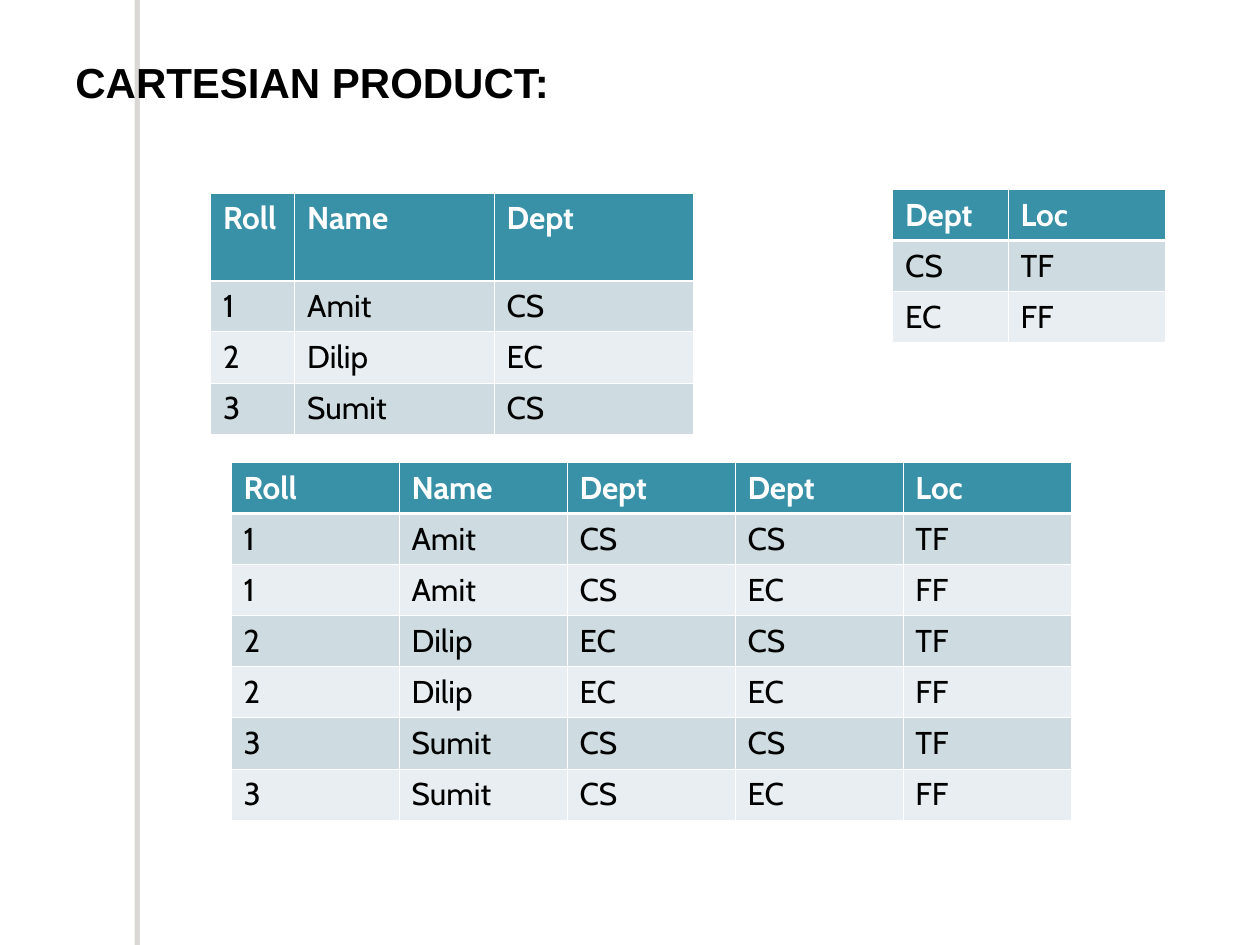
import itertools

import lxml.etree
import pptx
import pptx.dml.color
import pptx.enum.shapes
import pptx.enum.text
import pptx.oxml.ns
import pptx.util

Pt = pptx.util.Pt
qn = pptx.oxml.ns.qn

WHITE, BLACK = "FFFFFF", "000000"
HEADER_FILL = "3891A7"
BAND_FILLS = ("CEDCE1", "E8EEF1")
SHADOW = "706B5F"
ROW_HEIGHT = 29.2
THIN, THICK = 0.45, 1.47

STUDENT_HEADER = ("Roll", "Name", "Dept")
STUDENTS = [("1", "Amit", "CS"), ("2", "Dilip", "EC"), ("3", "Sumit", "CS")]
DEPARTMENT_HEADER = ("Dept", "Loc")
DEPARTMENTS = [("CS", "TF"), ("EC", "FF")]


def color(hex_value):
    return pptx.dml.color.RGBColor.from_string(hex_value)


def add_run(paragraph, text, font_name, size, hex_value, bold):
    run = paragraph.add_run()
    run.text = text
    run.font.name = font_name
    run.font.size = Pt(size)
    run.font.color.rgb = color(hex_value)
    run.font.bold = bold


def add_side_strip(slide, left, top, width, height):
    """White strip whose hard shadow shows as a line along its left edge."""
    strip = slide.shapes.add_shape(
        pptx.enum.shapes.MSO_SHAPE.RECTANGLE, Pt(left), Pt(top), Pt(width), Pt(height))
    strip.shadow.inherit = False
    strip.fill.solid()
    strip.fill.fore_color.rgb = color(WHITE)
    strip.line.fill.background()
    effects = strip._element.spPr.find(qn("a:effectLst"))
    shadow = lxml.etree.SubElement(
        effects, qn("a:outerShdw"), blurRad="0", dist=str(Pt(3)), dir="10800000",
        algn="tl", rotWithShape="0")
    shade = lxml.etree.SubElement(shadow, qn("a:srgbClr"), val=SHADOW)
    lxml.etree.SubElement(shade, qn("a:alpha"), val="25000")


def add_title(slide, left, top, width, height):
    frame = slide.shapes.add_textbox(Pt(left), Pt(top), Pt(width), Pt(height)).text_frame
    frame.word_wrap = True
    frame.vertical_anchor = pptx.enum.text.MSO_ANCHOR.MIDDLE
    add_run(frame.paragraphs[0], "CARTESIAN PRODUCT:", "Arial", 24, BLACK, True)


def set_borders(cell, top, bottom):
    properties = cell._tc.get_or_add_tcPr()
    for side, width in (("L", THIN), ("R", THIN), ("T", top), ("B", bottom)):
        line = lxml.etree.SubElement(properties, qn(f"a:ln{side}"), w=str(Pt(width)))
        fill = lxml.etree.SubElement(line, qn("a:solidFill"))
        lxml.etree.SubElement(fill, qn("a:srgbClr"), val=WHITE)


def add_relation(slide, left, top, column_widths, header, records, header_height=ROW_HEIGHT):
    """Banded table with a heading row and one row for each record."""
    row_heights = [header_height] + [ROW_HEIGHT] * len(records)
    table = slide.shapes.add_table(
        len(row_heights), len(column_widths), Pt(left), Pt(top),
        Pt(sum(column_widths)), Pt(sum(row_heights))).table
    for column, width in zip(table.columns, column_widths):
        column.width = Pt(width)
    for r, (height, values) in enumerate(zip(row_heights, [header, *records])):
        table.rows[r].height = Pt(height)
        is_header = r == 0
        for c, value in enumerate(values):
            cell = table.cell(r, c)
            set_borders(cell, THICK if r == 1 else THIN, THICK if is_header else THIN)
            cell.fill.solid()
            cell.fill.fore_color.rgb = color(
                HEADER_FILL if is_header else BAND_FILLS[(r - 1) % 2])
            add_run(cell.text_frame.paragraphs[0], value, "Cabin", 18,
                    WHITE if is_header else BLACK, is_header)


def main():
    presentation = pptx.Presentation()
    presentation.slide_width, presentation.slide_height = Pt(720), Pt(540)
    slide = presentation.slides.add_slide(presentation.slide_layouts[6])

    add_side_strip(slide, 79.9, 0, 5.8, 540)
    add_title(slide, 36, 21.6, 648, 50.4)
    add_relation(slide, 120.3, 110.2, (48, 114, 114), STUDENT_HEADER, STUDENTS,
                 header_height=50.2)
    add_relation(slide, 510, 108.2, (66, 90), DEPARTMENT_HEADER, DEPARTMENTS)
    product = [student + department
               for student, department in itertools.product(STUDENTS, DEPARTMENTS)]
    add_relation(slide, 132, 264.2, (96,) * 5, STUDENT_HEADER + DEPARTMENT_HEADER, product)

    presentation.save("out.pptx")


if __name__ == "__main__":
    main()
